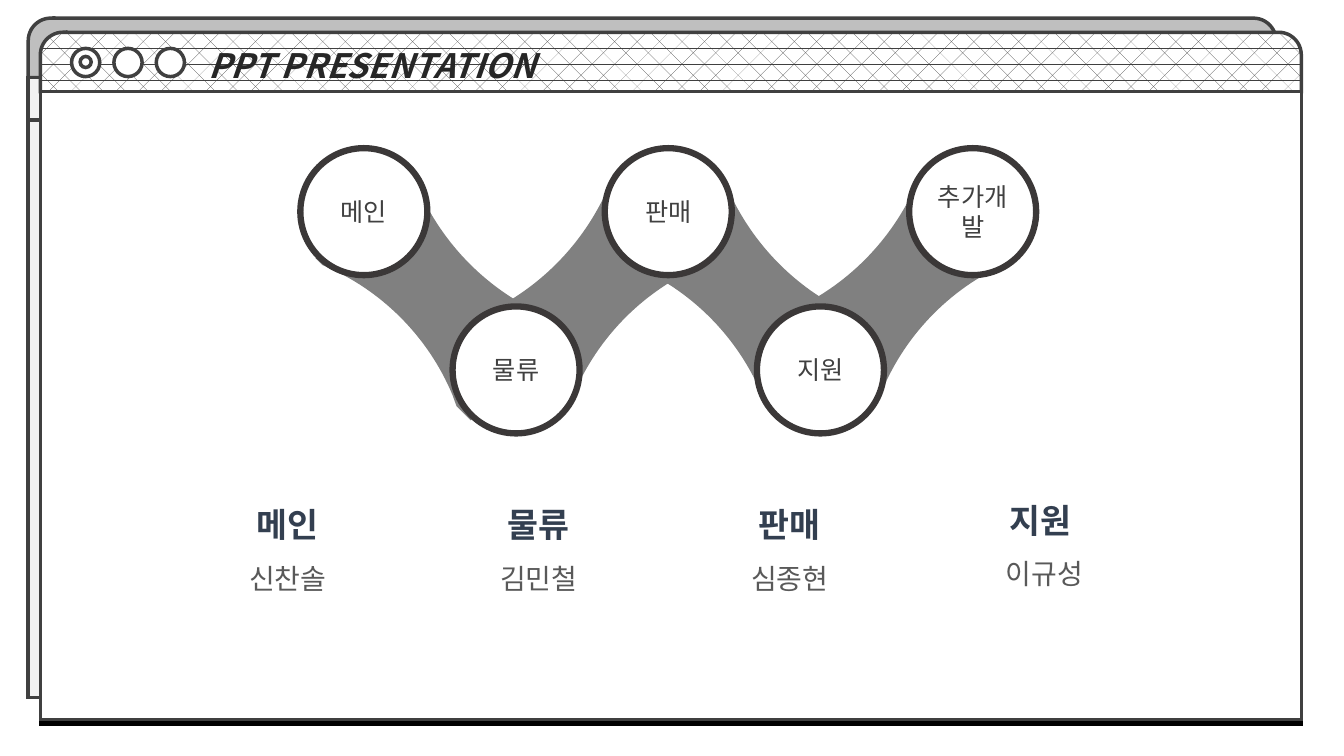
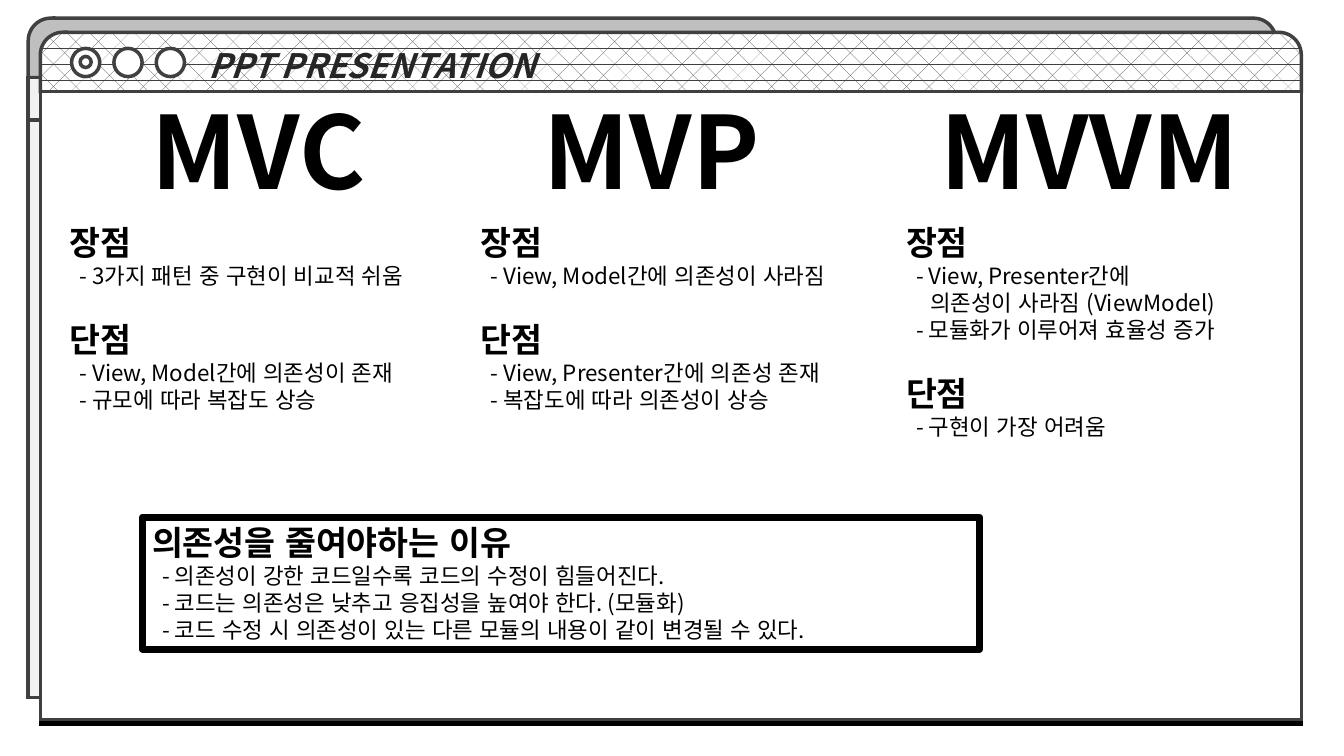
"""Build two slides framed as a browser window: team roles and a design pattern comparison."""
from lxml import etree
from pptx import Presentation
from pptx import util as u
from pptx.dml.color import RGBColor
from pptx.enum import dml, lang, shapes, text
from pptx.oxml.ns import qn

FONT = "Noto Sans CJK KR"
INK, WHITE, BLACK = "404040", "FFFFFF", "000000"
CENTER = text.PP_ALIGN.CENTER
RECT, OVAL = shapes.MSO_SHAPE.RECTANGLE, shapes.MSO_SHAPE.OVAL
TAB = shapes.MSO_SHAPE.ROUND_2_SAME_RECTANGLE
COLUMNS, ROWS = 160, 90
CELL = u.Inches(1 / 12)


def paint(fill, colour):
    """Fill a shape, line or font with one hex colour."""
    fill.solid()
    fill.fore_color.rgb = RGBColor.from_string(colour)


def write(frame, words, size=16, colour=BLACK, bold=False, italic=False,
          align=None, spacing=None, before=None, indent=0):
    """Add a formatted paragraph to a text frame."""
    frame.word_wrap = True
    para = frame.add_paragraph() if frame.text else frame.paragraphs[0]
    para.alignment, para.line_spacing = align, spacing
    if before:
        para.space_before = u.Pt(before)
    if indent:
        para._p.get_or_add_pPr().set("marL", str(u.Inches(indent)))
    span = para.add_run()
    span.text = words
    span.font.name, span.font.size = FONT, u.Pt(size)
    span.font.bold, span.font.italic = bold, italic
    span.font.language_id = lang.MSO_LANGUAGE_ID.KOREAN
    paint(span.font.fill, colour)
    etree.SubElement(span._r.get_or_add_rPr(), qn("a:ea"), typeface=FONT)


deck = Presentation()
deck.slide_width, deck.slide_height = COLUMNS * CELL, ROWS * CELL
team, patterns = [deck.slides.add_slide(deck.slide_layouts[6]) for _ in range(2)]

BACK_WINDOW = [
    (TAB, (3.36, 2.16, 148.56, 7.08), "BFBFBF"),
    (RECT, (3.36, 14.28, 148.56, 68.76), "F2F2F2"),
    (RECT, (3.36, 9.24, 148.56, 5.04), "F2F2F2"),
]
FRONT_WINDOW = [
    (TAB, (4.8, 3.84, 150.12, 7.08), WHITE),
    (RECT, (4.8, 10.92, 150.12, 74.76), WHITE),
    *[(OVAL, (8.52 + 5.04 * i, 5.76, 3.36, 3.36), WHITE) for i in range(3)],
    (OVAL, (9.54, 6.72, 1.32, 1.32), WHITE),
]

for page in (team, patterns):
    back = page.shapes.add_group_shape().shapes
    for layer, parts in [(back, BACK_WINDOW), (page.shapes, FRONT_WINDOW)]:
        for kind, spot, colour in parts:
            part = layer.add_shape(kind, *(round(n * CELL) for n in spot))
            part.shadow.inherit = False
            paint(part.fill, colour)
            paint(part.line.fill, INK)
            part.line.width = u.Pt(2.5)
            etree.SubElement(part.line._get_or_add_ln(), qn("a:miter"), lim="800000")
            front = layer is not back
            if kind == TAB:
                part.adjustments[0] = 0.38
            if kind == TAB and front:
                part.fill.patterned()
                part.fill.pattern = dml.MSO_PATTERN.DIVOT
                part.fill.fore_color.rgb = RGBColor.from_string(INK)
                part.fill.back_color.rgb = RGBColor.from_string(WHITE)
                write(part.text_frame, "PPT PRESENTATION", size=24, colour="262626",
                      bold=True, italic=True, align=text.PP_ALIGN.LEFT, indent=1.5)
            if kind == RECT and front:
                effects = part._element.spPr.find(qn("a:effectLst"))
                shadow = etree.SubElement(effects, qn("a:outerShdw"), dist=str(u.Pt(3)),
                                          dir="5400000", algn="t", rotWithShape="0")
                etree.SubElement(shadow, qn("a:srgbClr"), val=BLACK)

LINK_WIDTH = 29.52
LINK_CORNERS = [(11.04, 0), (0, 10.56), (0.72, 11.28), (0.84, 11.4), (16.32, 26.88),
                (16.8, 28.2), (18.48, 29.88), (29.52, 19.32), (27.84, 17.52),
                (27.6, 17.52), (12.12, 2.04), (11.64, 0.6)]
LINK_BENDS = {4: [(7.8, 14.28), (13.44, 19.92)], 10: [(20.64, 14.52), (15.12, 9)]}

diagram = team.shapes.add_group_shape().shapes
for left, top, rising in [(37.56, 20.16, False), (55.08, 20.16, True),
                          (74.4, 20.16, False), (91.8, 19.68, True)]:
    corners = [(round((left + (LINK_WIDTH - x if rising else x)) * CELL),
                round((top + y) * CELL)) for x, y in LINK_CORNERS]
    builder = diagram.build_freeform(*corners[0])
    builder.add_line_segments(corners[1:], close=True)
    link = builder.convert_to_shape()
    link.shadow.inherit = False
    paint(link.fill, "808080")
    link.line.fill.background()
    segments = list(next(link._element.iter(qn("a:path"))))
    for index, controls in LINK_BENDS.items():
        segments[index].tag = qn("a:cubicBezTo")
        for order, (x, y) in enumerate(controls):
            across = LINK_WIDTH - x if rising else x
            bend = etree.Element(qn("a:pt"), x=str(round(across * CELL)),
                                 y=str(round(y * CELL)))
            segments[index].insert(order, bend)

for i, role in enumerate(["메인", "물류", "판매", "지원", "추가개발"]):
    spot = (35.76 + 18.12 * i, 36.48 if i % 2 else 17.64, 15.12, 15.12)
    circle = diagram.add_shape(OVAL, *(round(n * CELL) for n in spot))
    circle.shadow.inherit = False
    paint(circle.fill, WHITE)
    paint(circle.line.fill, "3B3838")
    circle.line.width = u.Pt(4.5)
    write(circle.text_frame, role, size=18, colour=INK, align=CENTER)

MEMBERS = [("메인", "신찬솔", 57), ("물류", "김민철", 57),
           ("판매", "심종현", 57), ("지원", " 이규성", 56.52)]
for i, (role, member, top) in enumerate(MEMBERS):
    spot = (17.64 + 29.88 * i, top, 33.24, 13.8)
    box = team.shapes.add_textbox(*(round(n * CELL) for n in spot))
    write(box.text_frame, role, size=24, colour="333F50", bold=True,
          align=CENTER, spacing=1.5)
    write(box.text_frame, member, size=20, colour="595959", align=CENTER, spacing=1.5)

DASH_INDENT, WRAP_INDENT = 0.1, 0.24
PATTERNS = [
    ("MVC", 15.96, 29.64, 7.08,
     ["- 3가지 패턴 중 구현이 비교적 쉬움"],
     ["- View, Model간에 의존성이 존재", "- 규모에 따라 복잡도 상승"]),
    ("MVP", 62.76, 29.64, 56.04,
     ["- View, Model간에 의존성이 사라짐"],
     ["- View, Presenter간에 의존성 존재", "- 복잡도에 따라 의존성이 상승"]),
    ("MVVM", 108.84, 41.64, 106.68,
     ["- View, Presenter간에", "의존성이 사라짐 (ViewModel)",
      "- 모듈화가 이루어져 효율성 증가"],
     ["- 구현이 가장 어려움"]),
]
for name, title_left, title_width, notes_left, strengths, weaknesses in PATTERNS:
    spot = (title_left, 9.96, title_width, 15.72)
    box = patterns.shapes.add_textbox(*(round(n * CELL) for n in spot))
    write(box.text_frame, name, size=72, bold=True, align=CENTER)
    spot = (notes_left, 25.8, 47.64, 27.84)
    box = patterns.shapes.add_textbox(*(round(n * CELL) for n in spot))
    for heading, points, before in [("장점", strengths, None), ("단점", weaknesses, 21.5)]:
        write(box.text_frame, heading, size=24, bold=True, before=before)
        for point in points:
            write(box.text_frame, point,
                  indent=DASH_INDENT if point.startswith("-") else WRAP_INDENT)

REASONS = ["- 의존성이 강한 코드일수록 코드의 수정이 힘들어진다.",
           "- 코드는 의존성은 낮추고 응집성을 높여야 한다. (모듈화)",
           "- 코드 수정 시 의존성이 있는 다른 모듈의 내용이 같이 변경될 수 있다."]
spot = (16.92, 61.56, 99.72, 15.72)
box = patterns.shapes.add_textbox(*(round(n * CELL) for n in spot))
paint(box.line.fill, BLACK)
box.line.width = u.Pt(5)
write(box.text_frame, "의존성을 줄여야하는 이유", size=24, bold=True)
for reason in REASONS:
    write(box.text_frame, reason, indent=DASH_INDENT)

deck.save("out.pptx")
